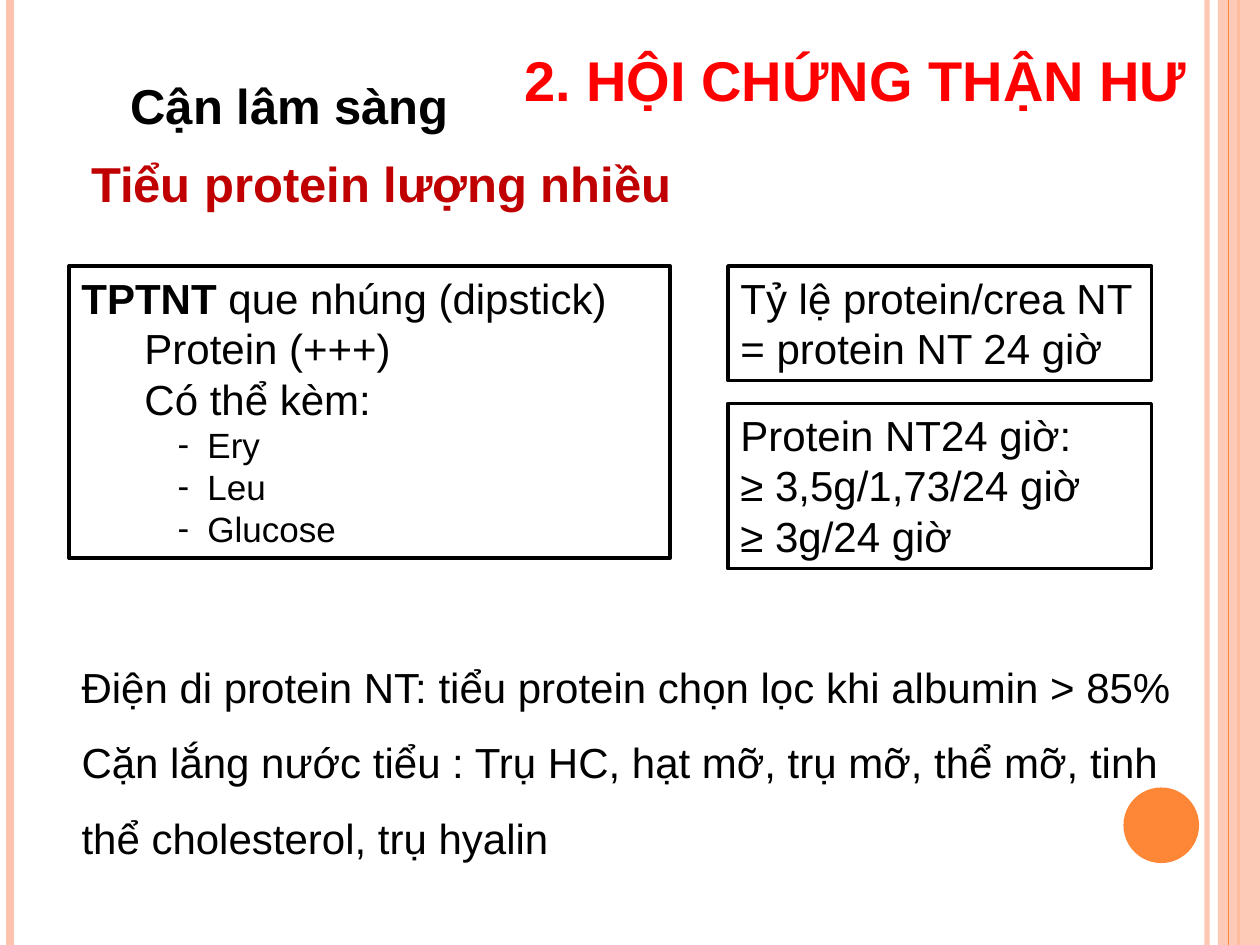
import dataclasses
import typing

import lxml.etree
import pptx
import pptx.dml.color
import pptx.enum.shapes
import pptx.enum.text
import pptx.oxml.ns
import pptx.util

Pt = pptx.util.Pt
qn = pptx.oxml.ns.qn
HUES = {
    "black": "000000",
    "red": "FF0000",
    "wine": "C00000",
    "peach": "FEC3AE",
    "orange": "FE8637",
}
FONT = "Arial"
WIDTH, HEIGHT = 720, 540


@dataclasses.dataclass
class Rule:
    left: float
    width: float
    hue: str
    alpha: int = 100


@dataclasses.dataclass
class Row:
    text: str
    size: float = 24
    level: int = 0
    indent: float = 0
    dash: bool = False
    lead: str = ""


@dataclasses.dataclass
class Box:
    left: float
    top: float
    width: float
    height: float
    rows: typing.List[Row]
    hue: str = "black"
    bold: bool = False
    center: bool = False
    border: bool = False
    space: float = 1.0


RULES = [
    Rule(689.76, 3, "peach", 93),
    Rule(5.76, 4.5, "peach"),
    Rule(707.76, 1.5, "orange"),
]
EDGE = Rule(702, 0.75, "orange")

BOXES = [
    Box(16.5, 39.5, 298, 41, [Row("Cận lâm sàng", 28)], bold=True, center=True),
    Box(45, 84, 574, 41, [Row("Tiểu protein lượng nhiều", 28)], "wine", True),
    Box(39.5, 152, 343.5, 167, [
        Row("que nhúng (dipstick)", lead="TPTNT "),
        Row("Protein (+++)", level=1, indent=36),
        Row("Có thể kèm:", level=1, indent=36),
        *(Row(name, 20, 2, 72, True) for name in ("Ery", "Leu", "Glucose")),
    ], border=True),
    Box(416, 152, 242, 65.5, [
        Row("Tỷ lệ protein/crea NT = protein NT 24 giờ"),
    ], border=True),
    Box(416, 230.5, 242, 94.5, [
        Row("Protein NT24 giờ:"),
        Row("≥ 3,5g/1,73/24 giờ"),
        Row("≥ 3g/24 giờ"),
    ], border=True),
    Box(39.5, 360, 652.5, 138, [
        Row("Điện di protein NT: tiểu protein chọn lọc khi albumin > 85%"),
        Row("Cặn lắng nước tiểu : Trụ HC, hạt mỡ, trụ mỡ, thể mỡ, "
            "tinh thể cholesterol, trụ hyalin"),
    ], space=1.5),
    Box(236, 22.5, 506, 46, [Row("2. HỘI CHỨNG THẬN HƯ", 32)],
        "red", True, True),
]


def tint(hue: str) -> pptx.dml.color.RGBColor:
    return pptx.dml.color.RGBColor.from_string(HUES[hue])


def fade(shape: typing.Any, alpha: int) -> None:
    for color in shape._element.spPr.iter(qn("a:srgbClr")):
        node = lxml.etree.SubElement(color, qn("a:alpha"))
        node.set("val", str(alpha * 1000))


def draw_rule(slide: typing.Any, rule: Rule) -> None:
    line = slide.shapes.add_connector(
        pptx.enum.shapes.MSO_CONNECTOR.STRAIGHT,
        Pt(rule.left), Pt(0), Pt(rule.left), Pt(HEIGHT))
    line.line.color.rgb = tint(rule.hue)
    line.line.width = Pt(rule.width)
    if rule.alpha < 100:
        fade(line, rule.alpha)
    lxml.etree.SubElement(line._element.spPr, qn("a:effectLst"))


def draw_shape(slide: typing.Any, kind: typing.Any, left: float, top: float,
               width: float, height: float, hue: str) -> typing.Any:
    shape = slide.shapes.add_shape(
        kind, Pt(left), Pt(top), Pt(width), Pt(height))
    shape.shadow.inherit = False
    shape.fill.solid()
    shape.fill.fore_color.rgb = tint(hue)
    shape.line.fill.background()
    return shape


def write_row(para: typing.Any, row: Row, box: Box) -> None:
    para.level = row.level
    para.line_spacing = box.space
    if box.center:
        para.alignment = pptx.enum.text.PP_ALIGN.CENTER
    props = para._p.get_or_add_pPr()
    props.set("marL", str(Pt(row.indent)))
    props.set("indent", str(Pt(-17) if row.dash else 0))
    if row.dash:
        lxml.etree.SubElement(props, qn("a:buFont")).set("typeface", FONT)
        lxml.etree.SubElement(props, qn("a:buChar")).set("char", "-")
    if row.lead:
        lead = para.add_run()
        lead.text = row.lead
        lead.font.bold = True
    para.add_run().text = row.text
    para.font.name = FONT
    para.font.size = Pt(row.size)
    para.font.bold = box.bold
    para.font.color.rgb = tint(box.hue)


def draw_box(slide: typing.Any, box: Box) -> None:
    shape = slide.shapes.add_textbox(
        Pt(box.left), Pt(box.top), Pt(box.width), Pt(box.height))
    if box.border:
        shape.line.color.rgb = tint("black")
        shape.line.width = Pt(2)
    frame = shape.text_frame
    frame.word_wrap = True
    frame.auto_size = pptx.enum.text.MSO_AUTO_SIZE.SHAPE_TO_FIT_TEXT
    for spot, row in enumerate(box.rows):
        para = frame.add_paragraph() if spot else frame.paragraphs[0]
        write_row(para, row, box)


def main() -> None:
    deck = pptx.Presentation()
    deck.slide_width, deck.slide_height = Pt(WIDTH), Pt(HEIGHT)
    slide = deck.slides.add_slide(deck.slide_layouts[6])
    kinds = pptx.enum.shapes.MSO_SHAPE
    for rule in RULES:
        draw_rule(slide, rule)
    band = draw_shape(slide, kinds.RECTANGLE, 696, 0, 24, HEIGHT, "peach")
    fade(band, 87)
    draw_rule(slide, EDGE)
    draw_shape(slide, kinds.OVAL, 642, 450, 43.2, 43.2, "orange")
    for box in BOXES:
        draw_box(slide, box)
    deck.save("out.pptx")


if __name__ == "__main__":
    main()
